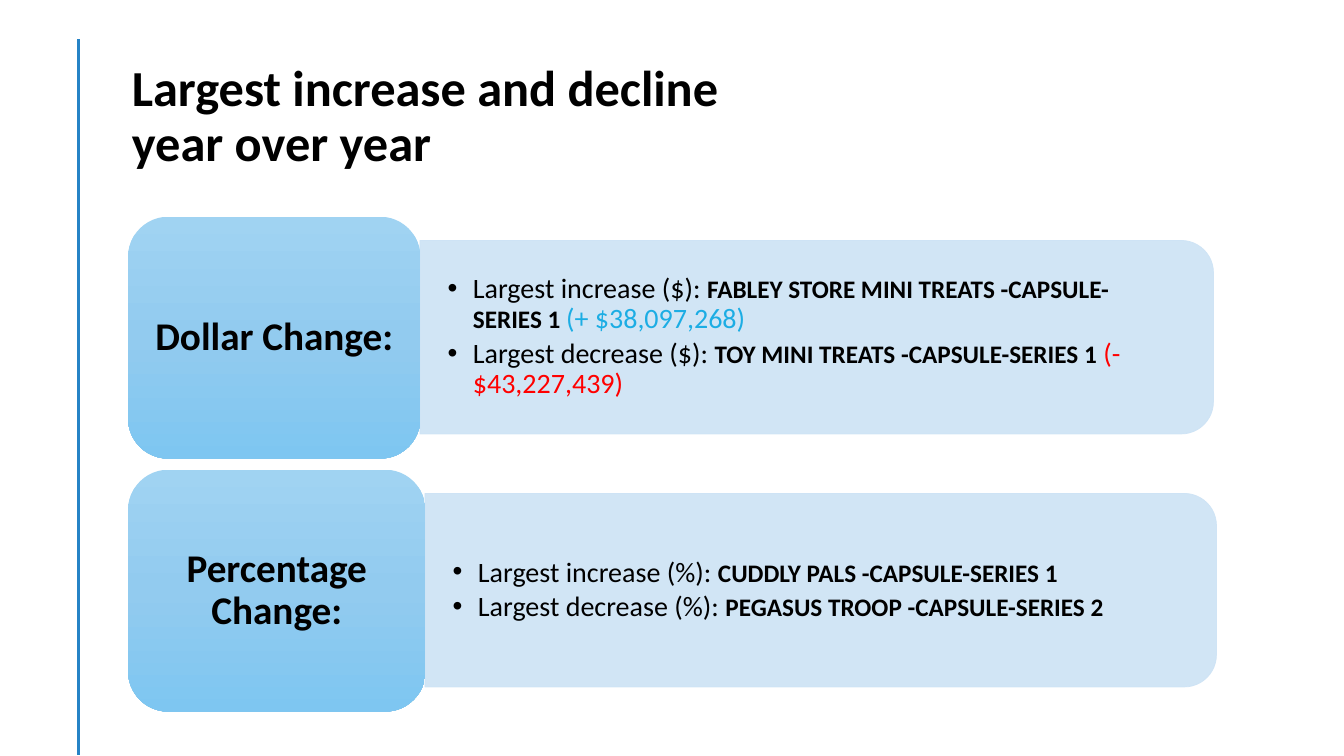
import copy

import lxml.etree
import pptx
import pptx.dml.color
import pptx.enum.shapes
import pptx.enum.text
import pptx.oxml.ns
import pptx.util

PX = 9144
COLORS = {
    "rule": "2683C6",
    "panel": "CDE3F5",
    "text": "000000",
    "rise": "1CADE4",
    "fall": "FF0000",
}
GRADIENT = [(0, "A0D3F2"), (0.5, "92CBEF"), (1, "7EC6F1")]
SHAPE = pptx.enum.shapes.MSO_SHAPE
qn = pptx.oxml.ns.qn


def px(*values):
    return [v * PX for v in values]


def rgb(value):
    return pptx.dml.color.RGBColor.from_string(value)


def add_run(p, text, size=20, bold=False, color="text", font="Calibri"):
    r = p.add_run()
    r.text = text
    r.font.name = font
    r.font.size = pptx.util.Pt(size)
    r.font.bold = bold
    r.font.color.rgb = rgb(COLORS[color])


class Deck:
    def __init__(self, width, height):
        self.prs = pptx.Presentation()
        self.prs.slide_width, self.prs.slide_height = px(width, height)
        self.s = self.prs.slides.add_slide(self.prs.slide_layouts[6])

    def frame(self, sp, mx, my):
        tf = sp.text_frame
        tf.word_wrap = True
        tf.vertical_anchor = pptx.enum.text.MSO_ANCHOR.MIDDLE
        tf.margin_left = tf.margin_right = mx * PX
        tf.margin_top = tf.margin_bottom = my * PX
        return tf

    def rule(self, x, y1, y2):
        kind = pptx.enum.shapes.MSO_CONNECTOR.STRAIGHT
        line = self.s.shapes.add_connector(kind, *px(x, y1, x, y2))
        line.line.color.rgb = rgb(COLORS["rule"])
        line.line.width = pptx.util.Pt(2)
        lxml.etree.SubElement(line._element.spPr, qn("a:effectLst"))

    def title(self, x, y, w, h, lines):
        sp = self.s.shapes.add_textbox(*px(x, y, w, h))
        p = self.frame(sp, 10, 5).paragraphs[0]
        p.line_spacing = 0.9
        for i, text in enumerate(lines):
            if i:
                p.add_line_break()
            add_run(p, text, size=36, bold=True)

    def panel(self, x, y, w, h):
        left, top = x + (w - h) // 2, y + (h - w) // 2
        sp = self.s.shapes.add_shape(SHAPE.ROUND_2_SAME_RECTANGLE, *px(left, top, h, w))
        sp.rotation = 90
        sp.shadow.inherit = False
        sp.fill.solid()
        sp.fill.fore_color.rgb = rgb(COLORS["panel"])
        sp.line.color.rgb = rgb(COLORS["panel"])
        sp.line.width = pptx.util.Pt(0.5)
        for clr in sp._element.spPr.iter(qn("a:srgbClr")):
            lxml.etree.SubElement(clr, qn("a:alpha"), val="90000")

    def label(self, x, y, w, h, text):
        sp = self.s.shapes.add_shape(SHAPE.ROUNDED_RECTANGLE, *px(x, y, w, h))
        sp.shadow.inherit = False
        sp.line.fill.background()
        sp.fill.gradient()
        sp.fill.gradient_angle = 270
        stops = sp._element.spPr.find(".//" + qn("a:gsLst"))
        stops.insert(1, copy.deepcopy(stops[0]))
        for stop, (position, color) in zip(sp.fill.gradient_stops, GRADIENT):
            stop.position = position
            stop.color.rgb = rgb(color)
        p = self.frame(sp, 12, 6).paragraphs[0]
        p.alignment = pptx.enum.text.PP_ALIGN.CENTER
        p.line_spacing = 0.9
        add_run(p, text, size=28, bold=True)

    def bullets(self, x, y, w, h, items):
        sp = self.s.shapes.add_textbox(*px(x, y, w, h))
        tf = self.frame(sp, 27, 14)
        for i, runs in enumerate(items):
            p = tf.add_paragraph() if i else tf.paragraphs[0]
            p.line_spacing = 0.9
            p.space_after = pptx.util.Pt(3)
            pPr = p._p.get_or_add_pPr()
            pPr.set("marL", str(25 * PX))
            pPr.set("indent", str(-25 * PX))
            lxml.etree.SubElement(pPr, qn("a:buFont"), typeface="Arial")
            lxml.etree.SubElement(pPr, qn("a:buChar"), char="•")
            for text, style in runs:
                add_run(p, text, **style)


def main():
    name = {"size": 18, "bold": True}
    rows = [
        ("Dollar Change:", 290, 1204, [
            [("Largest increase ($): ", {}),
             ("FABLEY STORE MINI TREATS -CAPSULE-SERIES 1 ", name),
             ("(+ $38,097,268)", {"color": "rise"})],
            [("Largest decrease ($): ", {}),
             ("TOY MINI TREATS -CAPSULE-SERIES 1", name),
             (" (- $43,227,439)", {"color": "fall"})],
        ]),
        ("Percentage Change:", 295, 1207, [
            [("Largest increase (%): ", {}),
             ("CUDDLY PALS -CAPSULE-SERIES 1", name)],
            [("Largest decrease (%): ", {}),
             ("PEGASUS TROOP -CAPSULE-SERIES 2", name)],
        ]),
    ]
    deck = Deck(1333, 750)
    deck.rule(78, 39, 749)
    deck.title(121, 44, 1150, 145, ["Largest increase and decline", "year over year"])
    left, top, step = 127, 215, 251
    for i, (text, width, right, items) in enumerate(rows):
        y = top + i * step
        x = left + width
        deck.panel(x, y + 24, right - x, 192)
        deck.bullets(x, y + 33, right - x - 9, 173, items)
        deck.label(left, y, width, 240, text)
    deck.prs.save("out.pptx")


if __name__ == "__main__":
    main()
